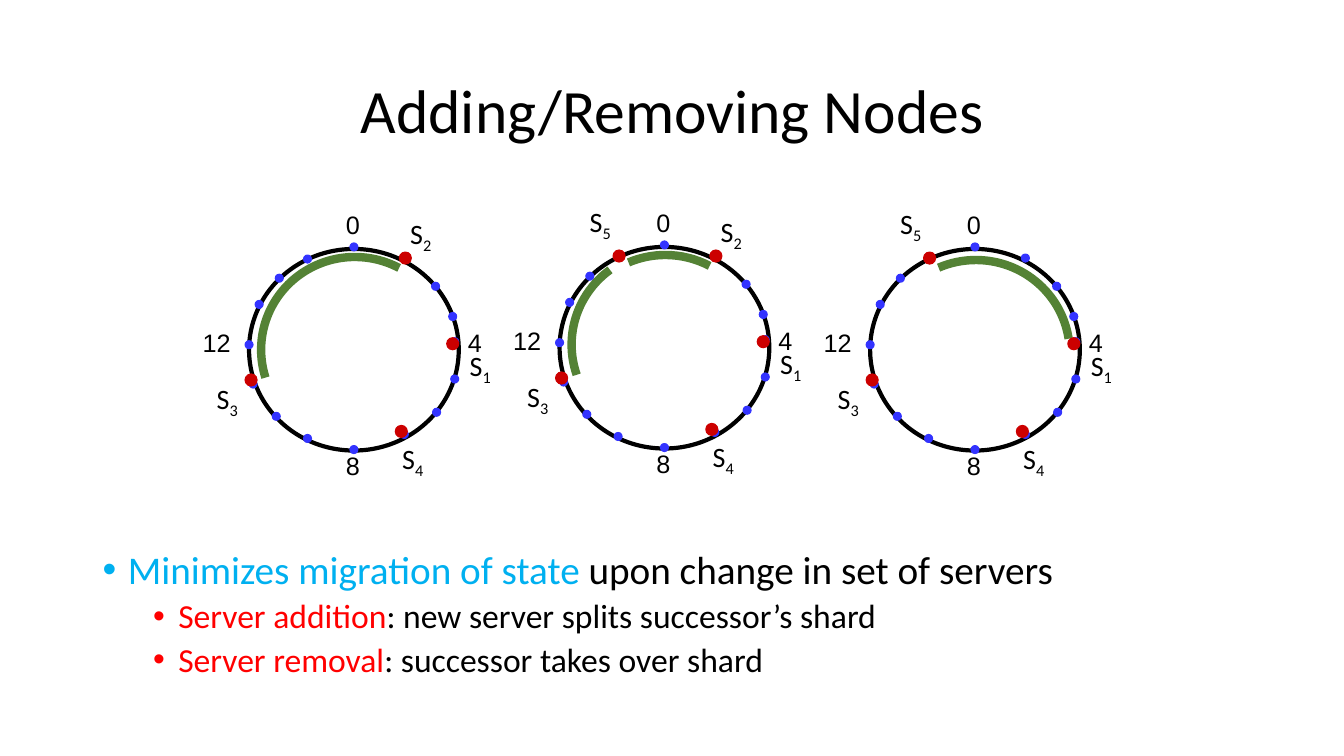
from dataclasses import dataclass
from typing import NamedTuple

from lxml import etree
from pptx import Presentation
from pptx import util as u
from pptx.dml.color import RGBColor
from pptx.enum import shapes, text
from pptx.oxml import ns


@dataclass(frozen=True)
class Theme:
    ink: str = "000000"
    key: str = "3333FF"
    server: str = "CC0000"
    shard: str = "548235"
    lead: str = "00B0F0"
    term: str = "FF0000"
    main: str = "Calibri"
    digit: str = "Arial"
    title: int = 44
    body: int = 28
    sub: int = 24
    name: int = 20
    tick: int = 18


class Node(NamedTuple):
    """A server: dot centre and label corner, measured from the ring centre."""
    x: float
    y: float
    left: float
    top: float


class Tick(NamedTuple):
    label: str
    left: float
    top: float
    width: float


class Shard(NamedTuple):
    """An arc in degrees, clockwise from the right; top is from the ring centre."""
    start: float
    end: float
    top: float


class Ring(NamedTuple):
    y: float
    nodes: str
    shards: list[Shard]


class Point(NamedTuple):
    lead: str
    rest: str
    color: str
    size: int
    indent: float
    gap: int


THEME = Theme()
FIRST, PITCH = 3.51, 3.08
RING_W, RING_H = 2.08, 2.0
SHARD_W, SHARD_H = 1.86, 1.84
KEY_DOT, NODE_DOT = 0.08, 0.12

KEYS = [
    (0, -1.02), (0.5, -0.91), (0.81, -0.63), (0.98, -0.33),
    (1, -0.08), (1, 0.29), (0.82, 0.62), (0.5, 0.84),
    (0, 0.99), (-0.46, 0.88), (-0.77, 0.66), (-1, 0.34),
    (-1.04, -0.05), (-0.94, -0.45), (-0.74, -0.71), (-0.46, -0.9),
]
TICKS = [
    Tick("0", -0.08, -1.39, 0.17),
    Tick("4", 1.13, -0.22, 0.17),
    Tick("8", -0.08, 1.0, 0.17),
    Tick("12", -1.5, -0.22, 0.46),
]
NODES = {
    "1": Node(0.98, -0.06, 1.05, -0.06),
    "2": Node(0.51, -0.91, 0.46, -1.37),
    "3": Node(-1.02, 0.3, -1.46, 0.27),
    "4": Node(0.47, 0.81, 0.38, 0.86),
    "5": Node(-0.45, -0.91, -0.84, -1.47),
}
RINGS = [
    Ring(3.47, "1234", [Shard(162.67, 298.42, -0.92)]),
    Ring(3.45, "12345", [Shard(246.61, 298.42, -0.92),
                         Shard(161.25, 233.49, -0.95)]),
    Ring(3.47, "1345", [Shard(246.3, 351.4, -0.89)]),
]
POINTS = [
    Point("Minimizes migration of state ", "upon change in set of servers",
          THEME.lead, THEME.body, 0.25, 0),
    Point("Server addition", ": new server splits successor’s shard",
          THEME.term, THEME.sub, 0.75, 5),
    Point("Server removal", ": successor takes over shard",
          THEME.term, THEME.sub, 0.75, 5),
]


def style(run, size: int, face: str = THEME.main, color: str = THEME.ink) -> None:
    run.font.size = u.Pt(size)
    run.font.name = face
    run.font.color.rgb = RGBColor.from_string(color)


def add_box(slide, left: float, top: float, width: float, height: float):
    box = slide.shapes.add_textbox(*map(u.Inches, (left, top, width, height)))
    box.text_frame.word_wrap = True
    return box.text_frame


def add_form(slide, kind, left: float, top: float, width: float, height: float,
             color: str, weight: float, solid: bool = False):
    form = slide.shapes.add_shape(kind, *map(u.Inches, (left, top, width, height)))
    form.shadow.inherit = False
    form.line.color.rgb = RGBColor.from_string(color)
    form.line.width = u.Pt(weight)
    if solid:
        form.fill.solid()
        form.fill.fore_color.rgb = RGBColor.from_string(color)
    else:
        form.fill.background()
    return form


def add_dot(slide, x: float, y: float, size: float, color: str) -> None:
    add_form(slide, shapes.MSO_SHAPE.OVAL, x - size / 2, y - size / 2,
             size, size, color, 0.75, solid=True)


def add_tick(slide, x: float, y: float, tick: Tick) -> None:
    frame = add_box(slide, x + tick.left, y + tick.top, tick.width, 0.3)
    frame.margin_left = frame.margin_right = 0
    frame.margin_top = frame.margin_bottom = 0
    frame.text = tick.label
    style(frame.paragraphs[0].runs[0], THEME.tick, THEME.digit)


def add_name(slide, left: float, top: float, index: str) -> None:
    """Write S with the server's index below the line."""
    frame = add_box(slide, left, top, 0.49, 0.44)
    frame.word_wrap = False
    frame.auto_size = text.MSO_AUTO_SIZE.SHAPE_TO_FIT_TEXT
    frame.text = "S"
    para = frame.paragraphs[0]
    para.add_run().text = index
    for run in para.runs:
        style(run, THEME.name)
    para.runs[1]._r.get_or_add_rPr().set("baseline", "-25000")


def add_ring(slide, x: float, ring: Ring) -> None:
    y = ring.y
    add_form(slide, shapes.MSO_SHAPE.OVAL, x - RING_W / 2, y - RING_H / 2,
             RING_W, RING_H, THEME.ink, 3)
    for shard in ring.shards:
        arc = add_form(slide, shapes.MSO_SHAPE.ARC, x - 0.92, y + shard.top,
                       SHARD_W, SHARD_H, THEME.shard, 6)
        arc.adjustments[0] = shard.start * 0.6
        arc.adjustments[1] = shard.end * 0.6
    for dx, dy in KEYS:
        add_dot(slide, x + dx, y + dy, KEY_DOT, THEME.key)
    for tick in TICKS:
        add_tick(slide, x, y, tick)
    for index in ring.nodes:
        node = NODES[index]
        add_dot(slide, x + node.x, y + node.y, NODE_DOT, THEME.server)
        add_name(slide, x + node.left, y + node.top, index)


def add_title(slide) -> None:
    frame = add_box(slide, 0.92, 0.4, 11.5, 1.45)
    frame.vertical_anchor = text.MSO_ANCHOR.MIDDLE
    frame.text = "Adding/Removing Nodes"
    para = frame.paragraphs[0]
    para.alignment = text.PP_ALIGN.CENTER
    para.line_spacing = 0.9
    style(para.runs[0], THEME.title)


def add_points(slide) -> None:
    frame = add_box(slide, 0.92, 2, 11.5, 4.76)
    frame.vertical_anchor = text.MSO_ANCHOR.BOTTOM
    frame.margin_bottom = u.Inches(0.02)
    frame.text = "\n".join(point.lead for point in POINTS)
    for para, point in zip(frame.paragraphs, POINTS):
        para.add_run().text = point.rest
        para.line_spacing = 0.9
        para.space_before = u.Pt(point.gap)
        style(para.runs[0], point.size, color=point.color)
        style(para.runs[1], point.size)
        props = para._p.get_or_add_pPr()
        props.set("marL", str(u.Inches(point.indent)))
        props.set("indent", str(u.Inches(-0.25)))
        etree.SubElement(props, ns.qn("a:buFont")).set("typeface", THEME.digit)
        etree.SubElement(props, ns.qn("a:buChar")).set("char", "•")


def main() -> None:
    deck = Presentation()
    deck.slide_width, deck.slide_height = u.Inches(13.33), u.Inches(7.5)
    slide = deck.slides.add_slide(deck.slide_layouts[6])
    add_title(slide)
    add_points(slide)
    for place, ring in enumerate(RINGS):
        add_ring(slide, FIRST + place * PITCH, ring)
    deck.save("out.pptx")


if __name__ == "__main__":
    main()
